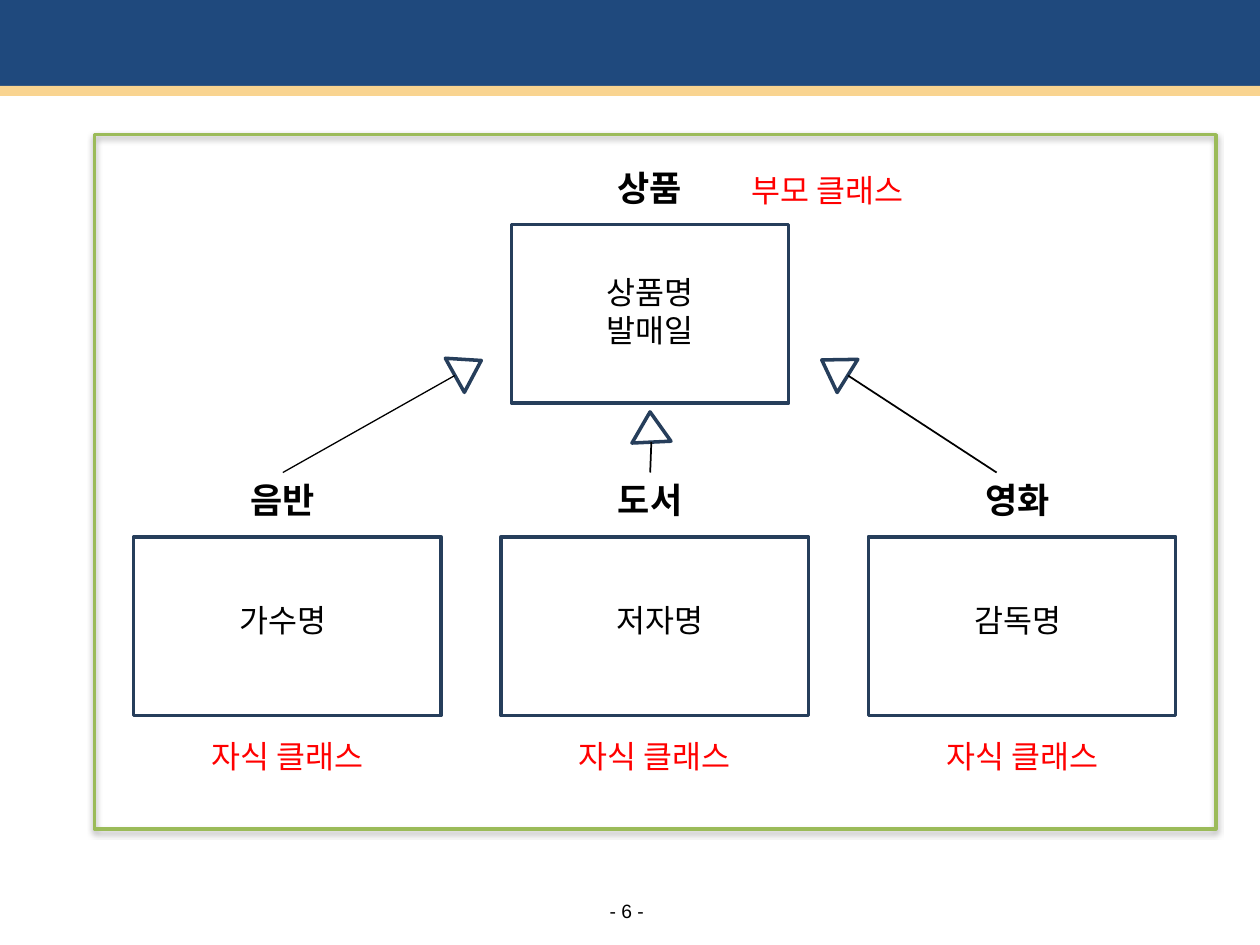
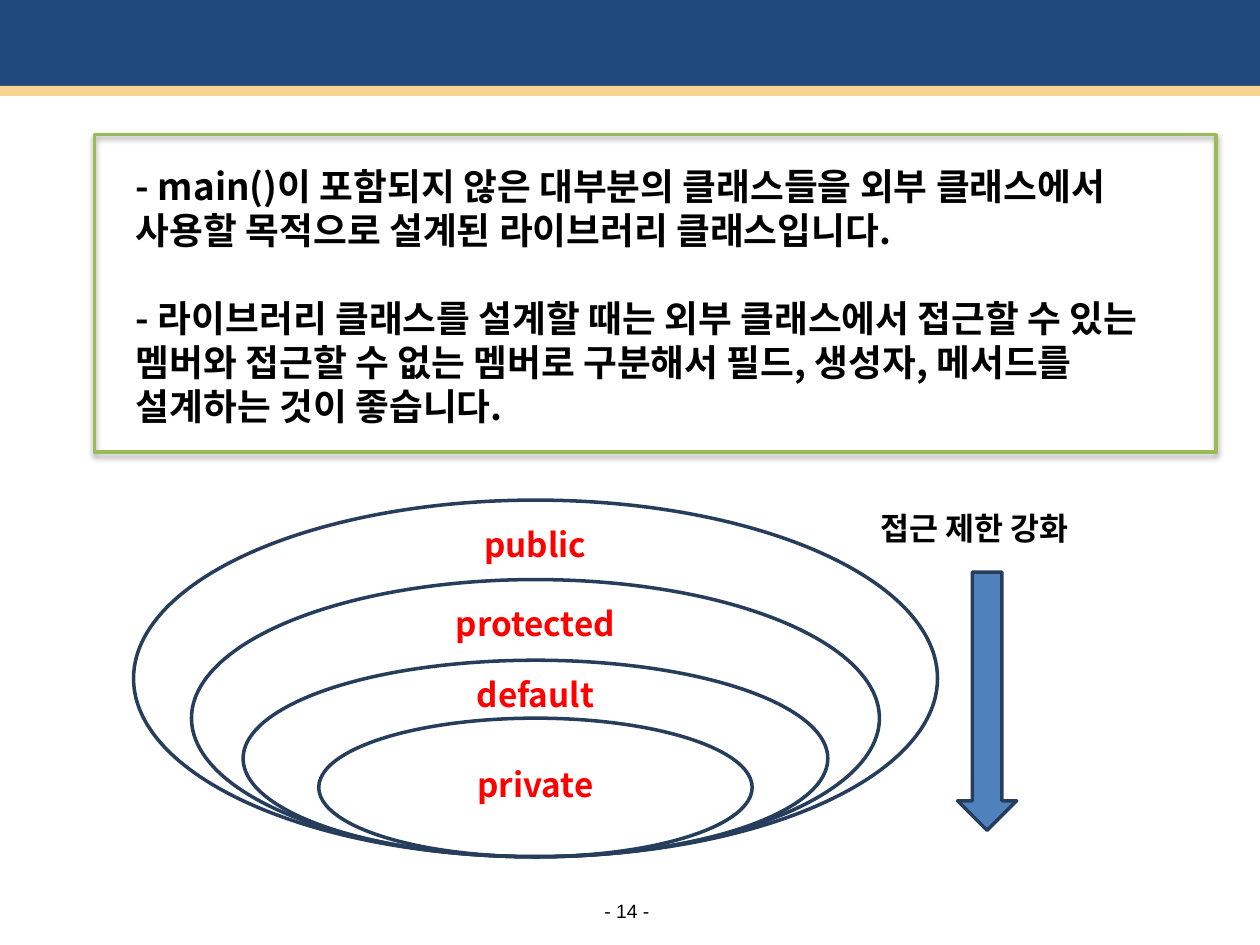
from lxml import etree
from pptx import Presentation
from pptx.dml.color import RGBColor
from pptx.enum.shapes import MSO_CONNECTOR, MSO_SHAPE
from pptx.enum.text import MSO_ANCHOR, PP_ALIGN
from pptx.oxml.ns import qn
from pptx.util import Pt

LEFT, CENTER = PP_ALIGN.LEFT, PP_ALIGN.CENTER
RECT, OVAL = MSO_SHAPE.RECTANGLE, MSO_SHAPE.OVAL
TRIANGLE, ARROW = MSO_SHAPE.ISOSCELES_TRIANGLE, MSO_SHAPE.DOWN_ARROW
FRAME = MSO_SHAPE.FLOWCHART_PROCESS
STRAIGHT = MSO_CONNECTOR.STRAIGHT
TOP_SIDE = 0

COLORS = {"band": "1F497D", "stripe": "F9D490", "frame": "9BBB59",
          "outline": "263E5B", "arrow": "4F81BD", "text": "000000",
          "accent": "FF0000"}
BODY_FONT, FOOTER_FONT = "Noto Sans CJK KR", "Arial"
SLIDE_W, SLIDE_H = 720, 540

# Content: class inheritance
PARENT = {"name": "상품", "fields": ["상품명", "발매일"], "role": "부모 클래스"}
CHILD_ROLE = "자식 클래스"
# name, field, shift of the field text
CHILDREN = [("음반", "가수명", 0), ("도서", "저자명", 5.8), ("영화", "감독명", 0)]
# triangle left, top, rotation; line start, line end, line width
INHERITANCE = [
    ((256.3, 201.6, 60.8), (161.6, 270), (259.9, 214.6), 0.75),
    ((360.7, 235.4, 357.3), (371.5, 270), (372.2, 252.7), 1),
    ((465.8, 201.6, 301.9), (569.5, 270), (484.6, 214.6), 1),
]

# Content: access modifiers
DESIGN_NOTES = [
    "- main()이 포함되지 않은 대부분의 클래스들을 외부 클래스에서 사용할 목적으로 "
    "설계된 라이브러리 클래스입니다.",
    "- 라이브러리 클래스를 설계할 때는 외부 클래스에서 접근할 수 있는 멤버와 접근할 수 "
    "없는 멤버로 구분해서 필드, 생성자, 메서드를 설계하는 것이 좋습니다.",
]
# name, width, height, label top
MODIFIERS = [("public", 459.4, 203.8, 295.9), ("protected", 393.1, 158.4, 341.3),
             ("default", 334.1, 112.3, 381.6), ("private", 247.7, 79.2, 433.4)]
RESTRICTION = "접근 제한 강화"


def rgb(name):
    return RGBColor.from_string(COLORS[name])


def add_figure(slide, kind, left, top, width, height, fill=None, line="outline"):
    figure = slide.shapes.add_shape(kind, Pt(left), Pt(top), Pt(width), Pt(height))
    figure.shadow.inherit = False
    if fill:
        figure.fill.solid()
        figure.fill.fore_color.rgb = rgb(fill)
    else:
        figure.fill.background()
    if line:
        figure.line.color.rgb = rgb(line)
        figure.line.width = Pt(2)
    else:
        figure.line.fill.background()
    return figure


def add_text(slide, lines, left, top, width, height, size, color="text",
             bold=False, align=CENTER, font=BODY_FONT, gap=0):
    box = slide.shapes.add_textbox(Pt(left), Pt(top), Pt(width), Pt(height))
    frame = box.text_frame
    frame.word_wrap = True
    for i, line in enumerate(lines):
        paragraph = frame.paragraphs[0] if i == 0 else frame.add_paragraph()
        paragraph.text = line
        paragraph.alignment = align
        if i and gap:
            paragraph.space_before = Pt(gap)
        style = paragraph.font
        style.size, style.bold, style.name = Pt(size), bold, font
        style.color.rgb = rgb(color)
        # Korean letters take the East Asian font
        defaults = paragraph._p.pPr.find(qn("a:defRPr"))
        etree.SubElement(defaults, qn("a:ea"), typeface=font)
    return box


def add_frame(slide, height):
    """Green content frame with a soft shadow below it."""
    frame = add_figure(slide, FRAME, 54, 77, 640.8, height, line="frame")
    effects = frame._element.spPr.find(qn("a:effectLst"))
    shadow = etree.SubElement(effects, qn("a:outerShdw"), blurRad=str(Pt(3.1)),
                              dist=str(Pt(1.8)), dir="5400000", rotWithShape="0")
    tint = etree.SubElement(shadow, qn("a:srgbClr"), val="000000")
    etree.SubElement(tint, qn("a:alpha"), val="35000")


def new_slide(deck, number, frame_height):
    slide = deck.slides.add_slide(deck.slide_layouts[6])
    add_figure(slide, RECT, 0, 0, SLIDE_W, 52.5, "band", None)
    add_figure(slide, RECT, 0, 49, SLIDE_W, 5.8, "stripe", None)
    page = add_text(slide, [f"- {number} -"], 342.7, 513.4, 31, 13.7, 11,
                    font=FOOTER_FONT).text_frame
    page.margin_left = page.margin_right = page.margin_top = page.margin_bottom = 0
    page.word_wrap = False
    page.vertical_anchor = MSO_ANCHOR.MIDDLE
    add_frame(slide, frame_height)
    return slide


def build_inheritance(deck):
    slide = new_slide(deck, 6, 396.7)

    # Parent class
    add_figure(slide, RECT, 292.3, 128.2, 158.4, 102.2)
    add_text(slide, PARENT["fields"], 303.1, 152.6, 136.1, 50.4, 18)
    add_text(slide, [PARENT["name"]], 303.1, 91.4, 136.1, 31, 20, bold=True)
    add_text(slide, [PARENT["role"]], 422.6, 94.3, 164.2, 28.8, 18, "accent",
             align=LEFT)

    # Child classes
    names = []
    for i, (name, field, shift) in enumerate(CHILDREN):
        left = 76.4 + 209.9 * i
        add_figure(slide, RECT, left, 306.7, 175.7, 102.2)
        names.append(add_text(slide, [name], left + 17.2, 270, 136.1, 31, 20,
                              bold=True))
        add_text(slide, [field], left + 17.2 + shift, 339.8, 136.1, 28.8, 18)
        add_text(slide, [CHILD_ROLE], left + 5.8, 417.4, 164.2, 28.8, 18, "accent")

    # Inheritance arrows
    for i, ((left, top, angle), start, end, width) in enumerate(INHERITANCE):
        add_figure(slide, TRIANGLE, left, top, 22.3, 17.3).rotation = angle
        line = slide.shapes.add_connector(STRAIGHT, *map(Pt, start + end))
        line.line.color.rgb = rgb("text")
        line.line.width = Pt(width)
        etree.SubElement(line._element.spPr, qn("a:effectLst"))
        if i < 2:  # the last line starts beside the middle of its name
            line.begin_connect(names[i], TOP_SIDE)


def build_access(deck):
    slide = new_slide(deck, 14, 181.4)
    add_text(slide, DESIGN_NOTES, 70.6, 90, 601.2, 158.4, 21, bold=True,
             align=LEFT, gap=25)

    # Nested scopes share a centre line and a bottom
    center, bottom, label_width = 306, 489.6, 108
    for _, width, height, _ in MODIFIERS:
        add_figure(slide, OVAL, center - width / 2, bottom - height, width, height)
    for name, _, _, label_top in MODIFIERS:
        add_text(slide, [name], center - label_width / 2, label_top, label_width,
                 29.5, 19, "accent", bold=True)

    # Direction of restriction
    add_figure(slide, ARROW, 547.2, 326.9, 33.8, 147.6, "arrow")
    add_text(slide, [RESTRICTION], 496.1, 287.3, 172.8, 28.8, 18, bold=True,
             align=LEFT)


def main():
    deck = Presentation()
    deck.slide_width, deck.slide_height = Pt(SLIDE_W), Pt(SLIDE_H)
    build_inheritance(deck)
    build_access(deck)
    deck.save("out.pptx")


if __name__ == "__main__":
    main()
